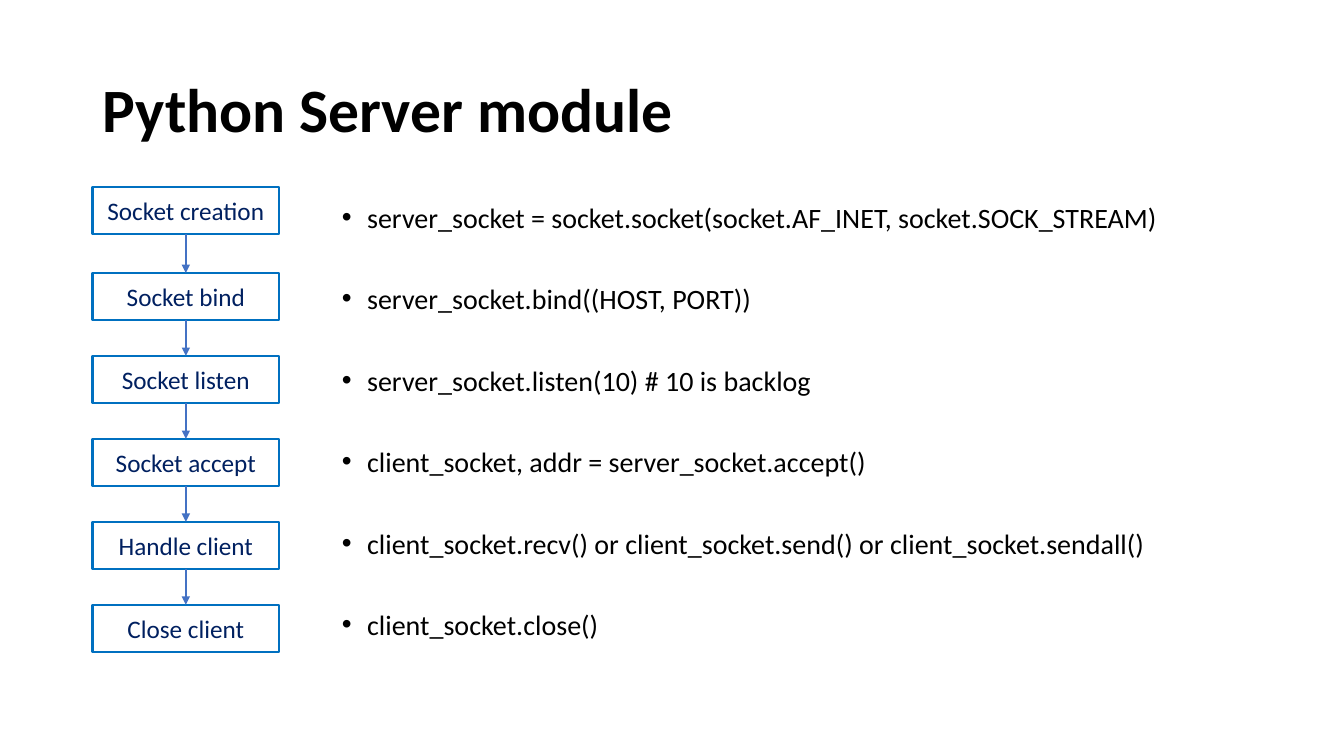
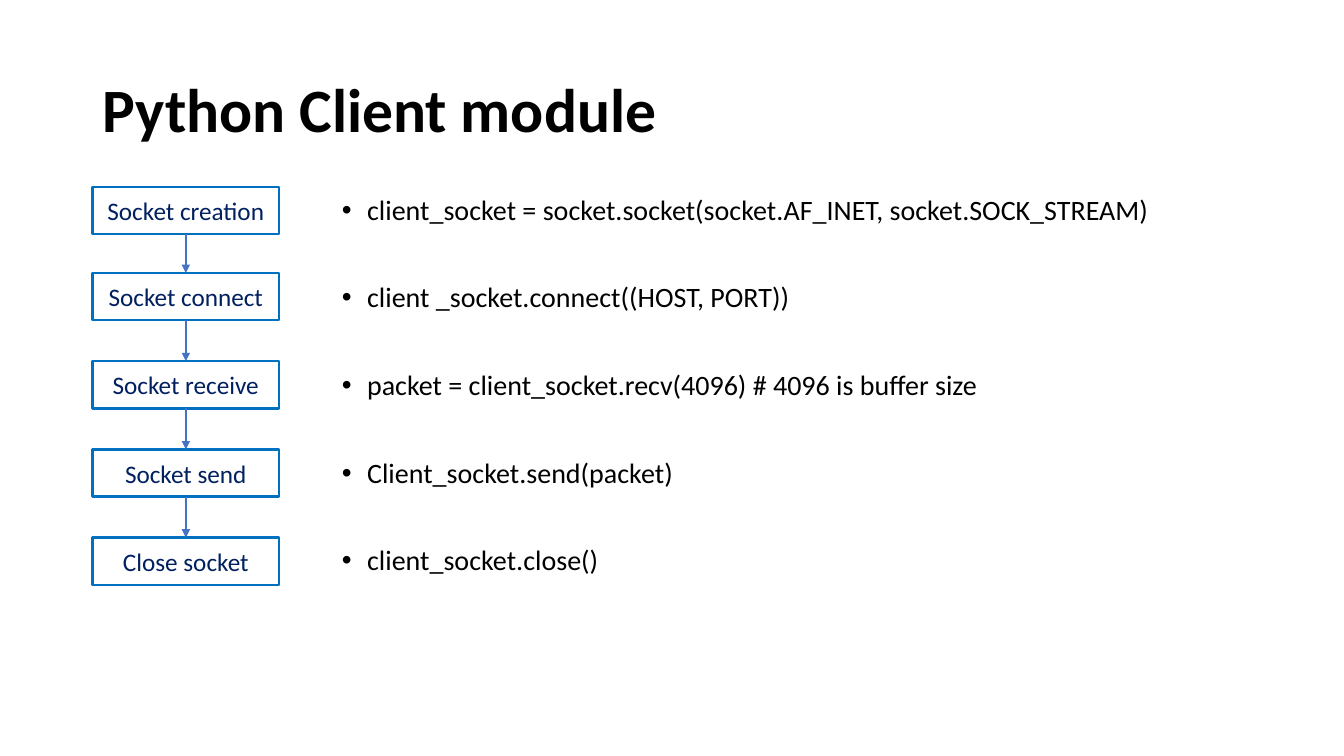
import lxml.etree
import pptx
import pptx.dml.color
import pptx.enum.shapes
import pptx.enum.text
import pptx.oxml.ns
import pptx.util

PX = 9525  # EMU per px, at 96 px to the inch

BLACK = pptx.dml.color.RGBColor(0x00, 0x00, 0x00)
NAVY = pptx.dml.color.RGBColor(0x00, 0x20, 0x60)
BOX_BLUE = pptx.dml.color.RGBColor(0x00, 0x70, 0xC0)
ARROW_BLUE = pptx.dml.color.RGBColor(0x44, 0x72, 0xC4)
FONT = "Calibri"

LEFT = 88
FLOW_TOP, FIRST_STEP = 178, 82
BOX_WIDTH, BOX_HEIGHT = 178, 45
BULLET_INDENT = 24
BOTTOM, TOP = 2, 0  # connection sites of a rectangle

SERVER_STEPS = [
    ("Socket creation", "server_socket = socket.socket(socket.AF_INET, socket.SOCK_STREAM)"),
    ("Socket bind", "server_socket.bind((HOST, PORT))"),
    ("Socket listen", "server_socket.listen(10) # 10 is backlog"),
    ("Socket accept", "client_socket, addr = server_socket.accept()"),
    ("Handle client", "client_socket.recv() or client_socket.send() or client_socket.sendall()"),
    ("Close client", "client_socket.close()"),
]
CLIENT_STEPS = [
    ("Socket creation", "client_socket = socket.socket(socket.AF_INET, socket.SOCK_STREAM)"),
    ("Socket connect", "client _socket.connect((HOST, PORT))"),
    ("Socket receive", "packet = client_socket.recv(4096) # 4096 is buffer size"),
    ("Socket send", "Client_socket.send(packet)"),
    ("Close socket", "client_socket.close()"),
]


def px(*lengths):
    return [pptx.util.Emu(length * PX) for length in lengths]


def place(shape, *box):
    shape.left, shape.top, shape.width, shape.height = px(*box)


def set_font(paragraph, size, color, bold=False):
    font = paragraph.font
    font.name, font.size, font.bold = FONT, pptx.util.Pt(size), bold
    font.color.rgb = color


def fill_title(slide, text):
    title = slide.shapes.title
    place(title, LEFT, 38, 1104, 139)
    title.text_frame.text = text
    title.text_frame.auto_size = pptx.enum.text.MSO_AUTO_SIZE.NONE
    title.text_frame.vertical_anchor = pptx.enum.text.MSO_ANCHOR.MIDDLE
    paragraph = title.text_frame.paragraphs[0]
    paragraph.alignment = pptx.enum.text.PP_ALIGN.LEFT
    paragraph.line_spacing = 0.9
    set_font(paragraph, 44, BLACK, bold=True)


def fill_code_list(slide, lines, top, line_spacing, gap):
    """Fill the body with one bullet per line, gap points apart."""
    body = slide.placeholders[1]
    place(body, 316, top, 928, 457)
    frame = body.text_frame
    frame.text = "\n".join(lines)
    frame.auto_size = pptx.enum.text.MSO_AUTO_SIZE.NONE
    for index, paragraph in enumerate(frame.paragraphs):
        properties = paragraph._p.get_or_add_pPr()
        properties.set("marL", str(BULLET_INDENT * PX))
        properties.set("indent", str(-BULLET_INDENT * PX))
        paragraph.line_spacing = line_spacing
        paragraph.space_before = pptx.util.Pt(gap if index else 0)
        set_font(paragraph, 20, BLACK)


def add_step_box(slide, text, top):
    box = slide.shapes.add_shape(
        pptx.enum.shapes.MSO_SHAPE.RECTANGLE, *px(LEFT, top, BOX_WIDTH, BOX_HEIGHT))
    box.shadow.inherit = False
    box.fill.background()
    box.line.color.rgb = BOX_BLUE
    box.line.width = pptx.util.Pt(1.75)
    box.text_frame.text = text
    paragraph = box.text_frame.paragraphs[0]
    paragraph.alignment = pptx.enum.text.PP_ALIGN.CENTER
    set_font(paragraph, 18, NAVY)
    return box


def add_arrow(slide, upper, lower):
    arrow = slide.shapes.add_connector(
        pptx.enum.shapes.MSO_CONNECTOR.STRAIGHT, *px(0, 0, 0, 0))
    arrow.begin_connect(upper, BOTTOM)
    arrow.end_connect(lower, TOP)
    arrow.line.color.rgb = ARROW_BLUE
    arrow.line.width = pptx.util.Pt(1.5)
    qn = pptx.oxml.ns.qn
    lxml.etree.SubElement(arrow.line._get_or_add_ln(), qn("a:tailEnd"), type="triangle")
    lxml.etree.SubElement(arrow._element.spPr, qn("a:effectLst"))


def add_flow(slide, labels, pitch):
    """Stack the step boxes; the first step is a little apart from the even rest."""
    tops = [FLOW_TOP] + [
        FLOW_TOP + FIRST_STEP + index * pitch for index in range(len(labels) - 1)]
    boxes = [add_step_box(slide, label, top) for label, top in zip(labels, tops)]
    for upper, lower in zip(boxes, boxes[1:]):
        add_arrow(slide, upper, lower)


def add_module_slide(presentation, title, steps, pitch, list_top, line_spacing, gap):
    slide = presentation.slides.add_slide(presentation.slide_layouts[1])
    labels, lines = zip(*steps)
    fill_title(slide, title)
    fill_code_list(slide, lines, list_top, line_spacing, gap)
    add_flow(slide, labels, pitch)


def main():
    presentation = pptx.Presentation()
    presentation.slide_width, presentation.slide_height = px(1280, 720)
    add_module_slide(presentation, "Python Server module", SERVER_STEPS,
                     pitch=79, list_top=192, line_spacing=0.8, gap=39)
    add_module_slide(presentation, "Python Client module", CLIENT_STEPS,
                     pitch=84, list_top=182, line_spacing=0.9, gap=41)
    presentation.save("out.pptx")


if __name__ == "__main__":
    main()
